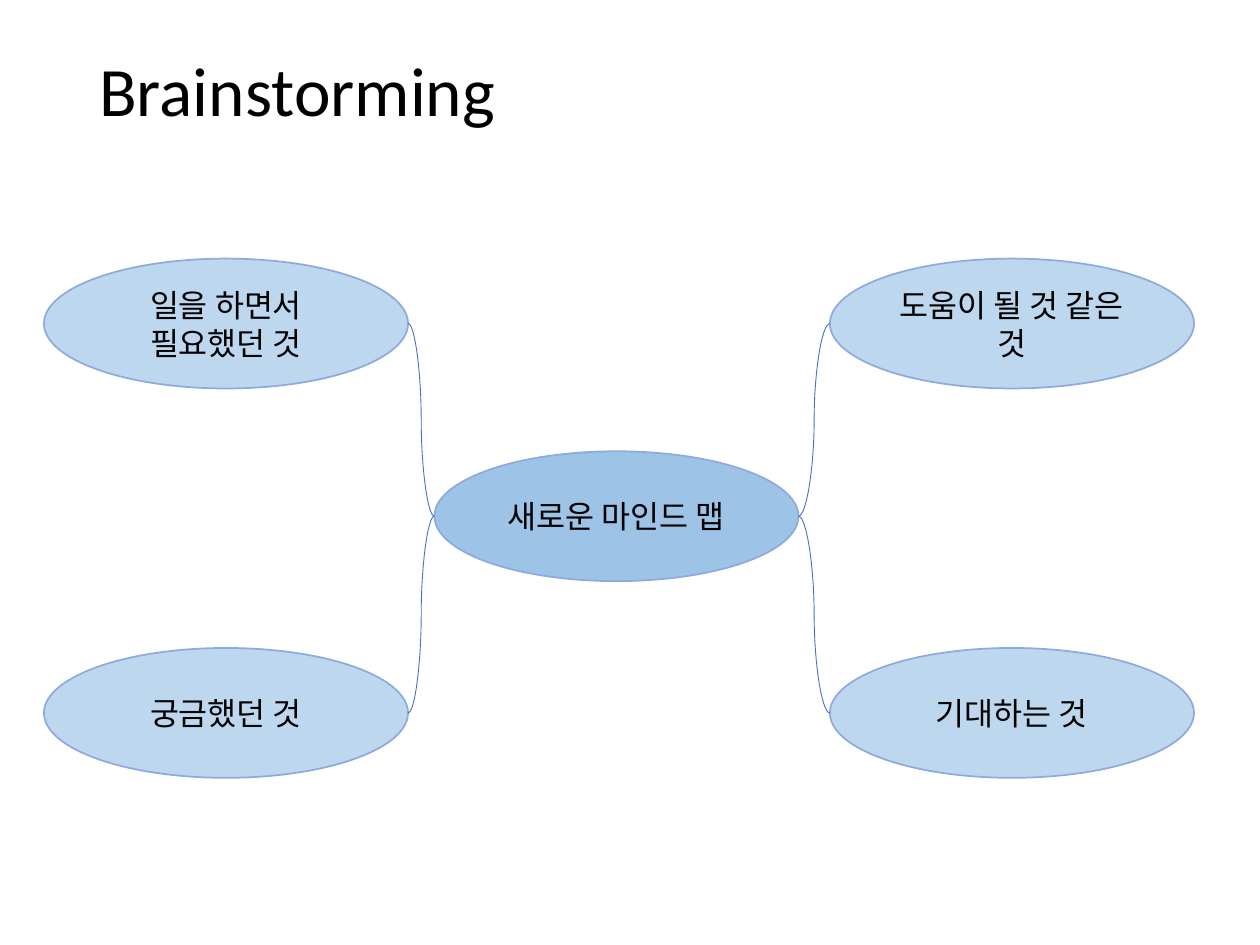
import pptx
import pptx.util
import pptx.dml.color
import pptx.enum.shapes
import pptx.enum.text
import pptx.oxml.ns
import lxml.etree

Pt = pptx.util.Pt

TITLE = "Brainstorming"
CENTER_TOPIC = "새로운 마인드 맵"
# text, column, row
BRANCHES = [
    ("일을 하면서 필요했던 것", "left", "top"),
    ("궁금했던 것", "left", "bottom"),
    ("도움이 될 것 같은 것", "right", "top"),
    ("기대하는 것", "right", "bottom"),
]
COLORS = {
    "text": "000000",
    "center": "9DC3E6",
    "branch": "BDD7EE",
    "outline": "8FAADC",
    "connector": "4472C4",
}
FONT = "Calibri"
NODE_WIDTH, NODE_HEIGHT = 208.1, 74.2
COLUMNS = {"left": 25.1, "center": 248.2, "right": 474.2}
ROWS = {"top": 147.8, "center": 257.9, "bottom": 370.3}


def color(name):
    return pptx.dml.color.RGBColor.from_string(COLORS[name])


def write(shape, text, size, alignment):
    frame = shape.text_frame
    frame.word_wrap = True
    frame.vertical_anchor = pptx.enum.text.MSO_ANCHOR.MIDDLE
    paragraph = frame.paragraphs[0]
    paragraph.alignment = alignment
    run = paragraph.add_run()
    run.text = text
    run.font.name = FONT
    run.font.size = Pt(size)
    run.font.color.rgb = color("text")
    return paragraph


def add_title(slide):
    box = slide.shapes.add_textbox(Pt(49.7), Pt(28.8), Pt(620.6), Pt(49.7))
    paragraph = write(box, TITLE, 39.6, pptx.enum.text.PP_ALIGN.LEFT)
    paragraph.line_spacing = 0.9


def add_node(slide, text, column, row, fill):
    node = slide.shapes.add_shape(
        pptx.enum.shapes.MSO_SHAPE.OVAL,
        Pt(COLUMNS[column]), Pt(ROWS[row]), Pt(NODE_WIDTH), Pt(NODE_HEIGHT))
    node.shadow.inherit = False
    node.fill.solid()
    node.fill.fore_color.rgb = color(fill)
    node.line.color.rgb = color("outline")
    node.line.width = Pt(1)
    write(node, text, 18, pptx.enum.text.PP_ALIGN.CENTER)


def add_branch_line(slide, column, row):
    """Curve from the inner side of a branch to the facing side of the center."""
    if column == "left":
        start_x, end_x = COLUMNS["left"] + NODE_WIDTH, COLUMNS["center"]
    else:
        start_x, end_x = COLUMNS["right"], COLUMNS["center"] + NODE_WIDTH
    start_y, end_y = (ROWS[name] + NODE_HEIGHT / 2 for name in (row, "center"))
    connector = slide.shapes.add_connector(
        pptx.enum.shapes.MSO_CONNECTOR.CURVE,
        Pt(start_x), Pt(start_y), Pt(end_x), Pt(end_y))
    connector.line.color.rgb = color("connector")
    connector.line.width = Pt(0.5)
    lxml.etree.SubElement(
        connector._element.spPr, pptx.oxml.ns.qn("a:effectLst"))


def main():
    presentation = pptx.Presentation()
    presentation.slide_width = Pt(720)
    presentation.slide_height = Pt(540)
    slide = presentation.slides.add_slide(presentation.slide_layouts[6])

    add_title(slide)
    add_node(slide, CENTER_TOPIC, "center", "center", "center")
    for text, column, row in BRANCHES:
        add_node(slide, text, column, row, "branch")
    for _, column, row in BRANCHES:
        add_branch_line(slide, column, row)

    presentation.save("out.pptx")


if __name__ == "__main__":
    main()
